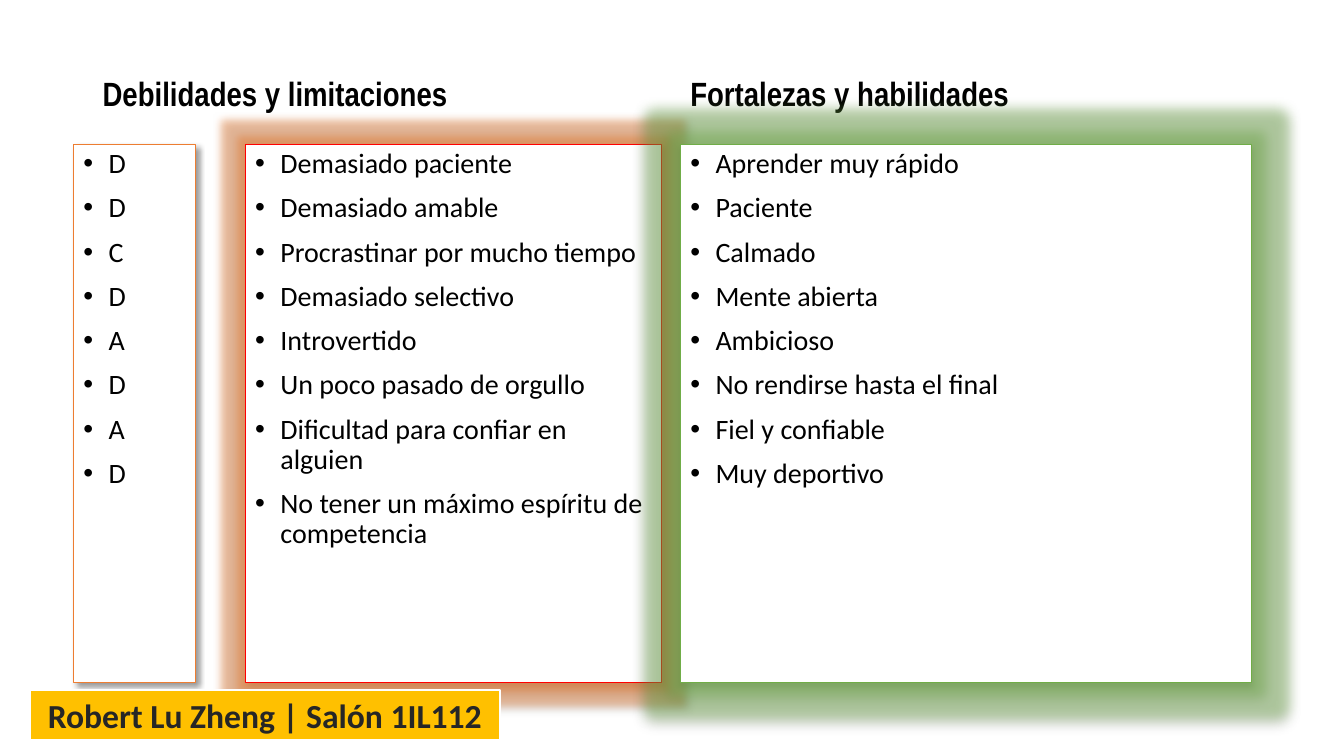
"""Build a slide that sets personal weaknesses beside strengths."""
from dataclasses import dataclass
from typing import Optional

from lxml import etree
from pptx import Presentation, util as u
from pptx.dml.color import RGBColor
from pptx.enum import shapes, text
from pptx.oxml import ns

WIDTH, HEIGHT = u.Inches(13.33), u.Inches(7.5)
COLUMNS, ROWS = 160, 90
HEADING_ROW, HEADING_ROWS = 3.36, 10.8
PANEL_ROW, PANEL_ROWS = 17.2, 64.05
COLORS = {
    "black": "000000",
    "white": "FFFFFF",
    "red": "FF0000",
    "orange": "ED7D31",
    "green": "70AD47",
    "gold": "FFC000",
    "charcoal": "262626",
}


@dataclass(frozen=True)
class Area:
    """Place of an object, in grid columns and rows."""
    column: float
    row: float
    columns: float
    rows: float

    def lengths(self) -> tuple[int, int, int, int]:
        """Return left, top, width and height in slide units."""
        across, down = WIDTH / COLUMNS, HEIGHT / ROWS
        return (round(self.column * across), round(self.row * down),
                round(self.columns * across), round(self.rows * down))


@dataclass(frozen=True)
class Glow:
    """Soft coloured halo around a panel."""
    color: str
    points: float


@dataclass(frozen=True)
class Heading:
    """Title above a group of panels."""
    column: float
    columns: float
    words: str


@dataclass(frozen=True)
class Panel:
    """Outlined box with a bulleted list."""
    column: float
    columns: float
    line: str
    shadow_angle: int
    items: tuple[str, ...]
    glow: Optional[Glow] = None


HEADINGS = (
    Heading(11.04, 67.7, "Debilidades y limitaciones"),
    Heading(81, 68, "Fortalezas y habilidades"),
)
PANELS = (
    Panel(29.2, 49.55, "red", 45, (
        "Demasiado paciente",
        "Demasiado amable",
        "Procrastinar por mucho tiempo",
        "Demasiado selectivo",
        "Introvertido",
        "Un poco pasado de orgullo",
        "Dificultad para confiar en alguien",
        "No tener un máximo espíritu de competencia",
    ), Glow("orange", 11)),
    Panel(81, 68, "green", 90, (
        "Aprender muy rápido",
        "Paciente",
        "Calmado",
        "Mente abierta",
        "Ambicioso",
        "No rendirse hasta el final",
        "Fiel y confiable",
        "Muy deportivo",
    ), Glow("green", 18)),
    Panel(8.75, 14.55, "orange", 45, tuple("DDCDADAD")),
)
BANNER = Area(3.6, 82.1, 55.9, 6)


def rgb(name: str) -> RGBColor:
    """Return the named colour."""
    return RGBColor.from_string(COLORS[name])


def add_element(parent, tag: str, **attributes: object):
    """Append a drawing element with the given attributes."""
    child = etree.SubElement(parent, ns.qn(tag))
    for key, value in attributes.items():
        child.set(key, str(value))
    return child


def add_color(parent, name: str, opacity: int) -> None:
    """Append a colour with an opacity in percent."""
    color = add_element(parent, "a:srgbClr", val=COLORS[name])
    add_element(color, "a:alpha", val=opacity * 1000)


def add_run(para, words: str, size: int, font: str, color: str, bold: bool = False):
    """Add one formatted run to a paragraph."""
    span = para.add_run()
    span.text = words
    span.font.size = u.Pt(size)
    span.font.name = font
    span.font.bold = bold
    span.font.color.rgb = rgb(color)
    return span


def set_spacing(para) -> None:
    """Give a paragraph the spacing used in headings and lists."""
    para.alignment = text.PP_ALIGN.LEFT
    para.line_spacing = 0.9
    para.space_before = u.Pt(10)


def add_box(page, area: Area, fill: str, line: str, weight: float):
    """Add a flat rectangle whose text wraps."""
    box = page.shapes.add_shape(shapes.MSO_SHAPE.RECTANGLE, *area.lengths())
    box.shadow.inherit = False
    box.fill.solid()
    box.fill.fore_color.rgb = rgb(fill)
    box.line.color.rgb = rgb(line)
    box.line.width = u.Pt(weight)
    box.text_frame.word_wrap = True
    return box


def add_effects(box, angle: int, glow: Optional[Glow]) -> None:
    """Add the glow, if any, and the drop shadow of a panel."""
    effects = box._element.spPr.find(ns.qn("a:effectLst"))
    if glow:
        halo = add_element(effects, "a:glow", rad=u.Pt(glow.points))
        add_color(halo, glow.color, 40)
    shadow = add_element(effects, "a:outerShdw", blurRad=u.Pt(4), dist=u.Pt(3),
                         dir=angle * 60000, algn="tl", rotWithShape=0)
    add_color(shadow, "black", 40)


def draw_heading(page, heading: Heading) -> None:
    """Draw a heading that rests on the bottom of its area."""
    area = Area(heading.column, HEADING_ROW, heading.columns, HEADING_ROWS)
    box = page.shapes.add_textbox(*area.lengths())
    frame = box.text_frame
    frame.word_wrap = True
    frame.vertical_anchor = text.MSO_ANCHOR.BOTTOM
    para = frame.paragraphs[0]
    set_spacing(para)
    add_run(para, heading.words, 24, "Arial Narrow", "black", True)


def draw_panel(page, panel: Panel) -> None:
    """Draw a panel and its bulleted list."""
    area = Area(panel.column, PANEL_ROW, panel.columns, PANEL_ROWS)
    box = add_box(page, area, "white", panel.line, 1)
    add_effects(box, panel.shadow_angle, panel.glow)
    frame = box.text_frame
    frame.vertical_anchor = text.MSO_ANCHOR.TOP
    for index, item in enumerate(panel.items):
        para = frame.add_paragraph() if index else frame.paragraphs[0]
        set_spacing(para)
        layout = para._p.get_or_add_pPr()
        layout.set("marL", str(u.Inches(0.25)))
        layout.set("indent", str(-u.Inches(0.25)))
        add_element(layout, "a:buFont", typeface="Arial")
        add_element(layout, "a:buChar", char="•")
        add_run(para, item, 20, "Calibri", "black")


def draw_banner(page) -> None:
    """Draw the banner with the student's name and classroom."""
    box = add_box(page, BANNER, "gold", "white", 1.5)
    box.text_frame.vertical_anchor = text.MSO_ANCHOR.MIDDLE
    para = box.text_frame.paragraphs[0]
    para.alignment = text.PP_ALIGN.CENTER
    span = add_run(para, "Robert Lu Zheng | Salón 1IL112", 24, "Calibri", "charcoal", True)
    style = span._r.get_or_add_rPr()
    outline = add_element(style, "a:ln", w=u.Pt(1.06))
    add_color(add_element(outline, "a:solidFill"), "white", 100)
    style.insert(0, outline)


def main() -> None:
    """Build and save the deck."""
    deck = Presentation()
    deck.slide_width, deck.slide_height = WIDTH, HEIGHT
    page = deck.slides.add_slide(deck.slide_layouts[6])
    for heading in HEADINGS:
        draw_heading(page, heading)
    for panel in PANELS:
        draw_panel(page, panel)
    draw_banner(page)
    deck.save("out.pptx")


if __name__ == "__main__":
    main()
